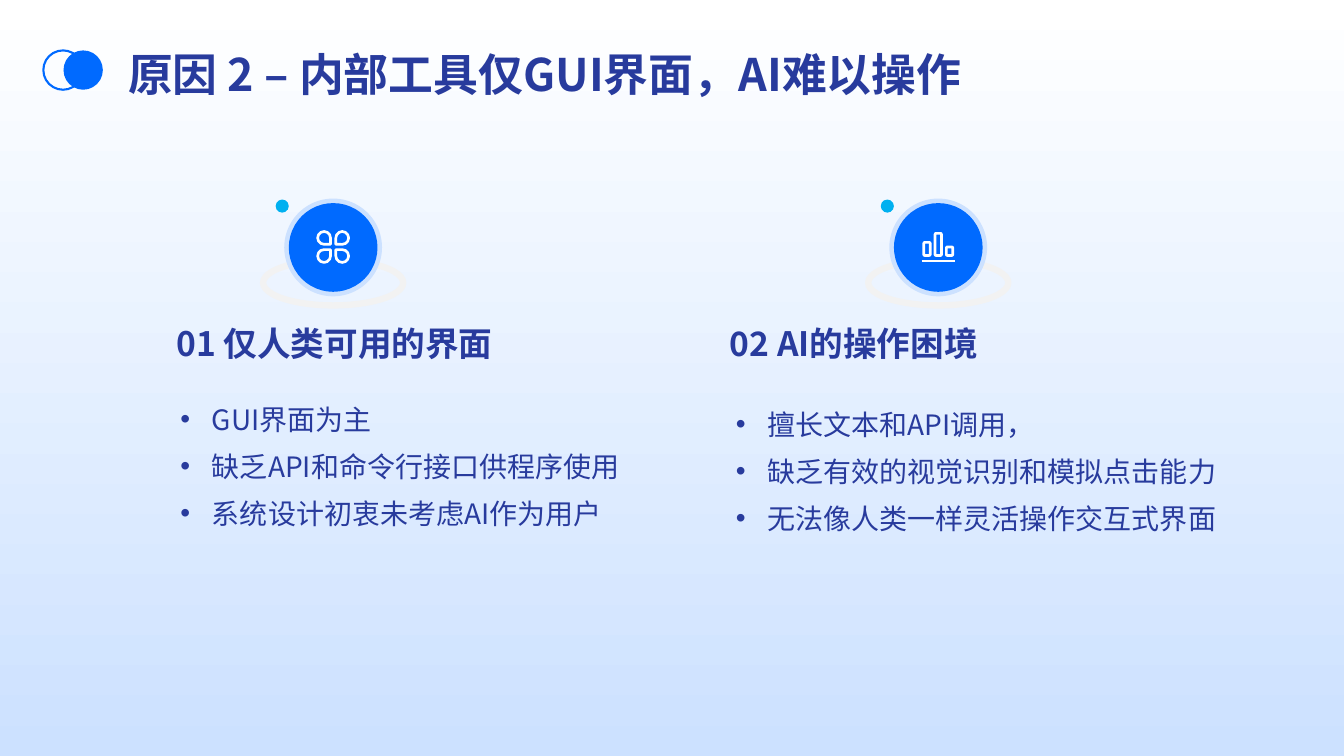
"""Build the slide on why AI struggles with GUI-only internal tools."""
from dataclasses import dataclass
from typing import Callable, Optional

from lxml import etree
from pptx import Presentation
from pptx.dml.color import RGBColor
from pptx.enum.shapes import MSO_CONNECTOR, MSO_SHAPE
from pptx.enum.text import MSO_ANCHOR
from pptx.oxml.ns import qn
from pptx.util import Inches, Pt

ELLIPSE, RECTANGLE = MSO_SHAPE.OVAL, MSO_SHAPE.RECTANGLE
TEARDROP, ROUNDED = MSO_SHAPE.TEAR, MSO_SHAPE.ROUNDED_RECTANGLE
STRAIGHT = MSO_CONNECTOR.STRAIGHT
TOP, MIDDLE = MSO_ANCHOR.TOP, MSO_ANCHOR.MIDDLE

NAVY = RGBColor(0x28, 0x3B, 0x9D)
BLUE = RGBColor(0x00, 0x6A, 0xFF)
PALE_BLUE = RGBColor(0xCC, 0xE1, 0xFF)
CYAN = RGBColor(0x00, 0xB0, 0xF0)
LIGHT_GREY = RGBColor(0xF2, 0xF2, 0xF2)
WHITE = RGBColor(0xFF, 0xFF, 0xFF)

FONT = "Noto Sans CJK SC"
CELL = Inches(0.1)
COLUMNS, ROWS = 133.33, 75
ICON_STROKE = 1.9
BULLET_INDENT = 3.13


@dataclass(frozen=True)
class Box:
    """A frame measured in columns and rows of the slide grid."""
    column: float
    row: float
    width: float
    height: float


@dataclass(frozen=True)
class TextStyle:
    """The look of a block of text."""
    size: int
    spacing: float
    bold: bool = True
    bulleted: bool = False
    anchor: MSO_ANCHOR = MIDDLE


@dataclass(frozen=True)
class Reason:
    """One half of the slide: badge, heading and bullets."""
    center: float
    draw_icon: Callable
    heading: str
    heading_box: Box
    bullets: tuple[str, ...]
    bullets_box: Box


TITLE_STYLE = TextStyle(32, 1.2)
HEADING_STYLE = TextStyle(24, 1.1)
BULLET_STYLE = TextStyle(20, 1.4, bold=False, bulleted=True, anchor=TOP)


def cells(*counts: float) -> list[int]:
    """Turn grid counts into slide lengths."""
    return [round(count * CELL) for count in counts]


def add_figure(slide, kind: MSO_SHAPE, box: Box, fill: Optional[RGBColor] = None,
               line: Optional[RGBColor] = None, line_width: float = 1):
    """Add a preset shape with an optional fill and outline."""
    shape = slide.shapes.add_shape(
        kind, *cells(box.column, box.row, box.width, box.height))
    shape.shadow.inherit = False
    if fill is None:
        shape.fill.background()
    else:
        shape.fill.solid()
        shape.fill.fore_color.rgb = fill
    if line is None:
        shape.line.fill.background()
    else:
        shape.line.color.rgb = line
        shape.line.width = Pt(line_width)
    return shape


def add_circle(slide, center: float, middle: float, diameter: float,
               fill: Optional[RGBColor] = None, line: Optional[RGBColor] = None,
               line_width: float = 1) -> None:
    """Add a circle around a centre point."""
    box = Box(center - diameter / 2, middle - diameter / 2, diameter, diameter)
    add_figure(slide, ELLIPSE, box, fill, line, line_width)


def add_bullet(paragraph) -> None:
    """Give a paragraph a hanging bullet."""
    properties = paragraph._p.get_or_add_pPr()
    indent = cells(BULLET_INDENT)[0]
    properties.set("marL", str(indent))
    properties.set("indent", str(-indent))
    etree.SubElement(properties, qn("a:buFont")).set("typeface", "Arial")
    etree.SubElement(properties, qn("a:buChar")).set("char", "•")


def add_text(slide, box: Box, lines: tuple[str, ...], style: TextStyle) -> None:
    """Add a text box with one paragraph per line."""
    shape = slide.shapes.add_textbox(
        *cells(box.column, box.row, box.width, box.height))
    frame = shape.text_frame
    frame.word_wrap = True
    frame.vertical_anchor = style.anchor
    frame.margin_left = frame.margin_right = 0
    frame.margin_top = frame.margin_bottom = 0
    for index, line in enumerate(lines):
        paragraph = frame.add_paragraph() if index else frame.paragraphs[0]
        if style.bulleted:
            add_bullet(paragraph)
        paragraph.line_spacing = style.spacing
        run = paragraph.add_run()
        run.text = line
        run.font.size = Pt(style.size)
        run.font.bold = style.bold
        run.font.color.rgb = NAVY
        run.font.name = FONT
        east_asian = etree.SubElement(run._r.get_or_add_rPr(), qn("a:ea"))
        east_asian.set("typeface", FONT)


def draw_petals(slide, center: float) -> None:
    """Draw four petals whose tips meet at the middle."""
    size, offset, middle = 1.27, 0.9, 24.5
    for across, down, rotation in ((-1, -1, 90), (1, -1, 180), (-1, 1, 0), (1, 1, 270)):
        box = Box(center + across * offset - size / 2,
                  middle + down * offset - size / 2, size, size)
        petal = add_figure(slide, TEARDROP, box, line=WHITE, line_width=ICON_STROKE)
        petal.rotation = rotation


def draw_bars(slide, center: float) -> None:
    """Draw three bars above a base line."""
    pitch, width, bottom, base, half_base = 1.12, 0.64, 25.35, 25.9, 1.65
    for position, height in zip((-1, 0, 1), (1.3, 2.2, 0.85)):
        box = Box(center + position * pitch - width / 2, bottom - height, width, height)
        add_figure(slide, ROUNDED, box, line=WHITE, line_width=ICON_STROKE)
    connector = slide.shapes.add_connector(
        STRAIGHT, *cells(center - half_base, base, center + half_base, base))
    connector.line.color.rgb = WHITE
    connector.line.width = Pt(ICON_STROKE)
    etree.SubElement(connector._element.spPr, qn("a:effectLst"))


def draw_reason(slide, reason: Reason) -> None:
    """Draw the badge, heading and bullets of one reason."""
    center = reason.center
    add_figure(slide, ELLIPSE, Box(center - 6.95, 25.8, 13.9, 4.5),
               line=LIGHT_GREY, line_width=4.5)
    add_circle(slide, center, 24.55, 9.7, PALE_BLUE)
    add_circle(slide, center, 24.55, 8.8, BLUE)
    reason.draw_icon(slide, center)
    add_circle(slide, center - 5.05, 20.45, 1.3, CYAN)
    add_text(slide, reason.heading_box, (reason.heading,), HEADING_STYLE)
    add_text(slide, reason.bullets_box, reason.bullets, BULLET_STYLE)


REASONS = (
    Reason(33.05, draw_petals, "01 仅人类可用的界面", Box(17.5, 31.1, 34.3, 5.4),
           ("GUI界面为主", "缺乏API和命令行接口供程序使用", "系统设计初衷未考虑AI作为用户"),
           Box(17.9, 38.6, 45.6, 18.2)),
    Reason(93.08, draw_bars, "02 AI的操作困境", Box(72.4, 31.1, 48.5, 5.4),
           ("擅长文本和API调用，", "缺乏有效的视觉识别和模拟点击能力", "无法像人类一样灵活操作交互式界面"),
           Box(73, 39.1, 47.7, 16.7)),
)


def main() -> None:
    """Build and save the presentation."""
    presentation = Presentation()
    presentation.slide_width, presentation.slide_height = cells(COLUMNS, ROWS)
    slide = presentation.slides.add_slide(presentation.slide_layouts[6])
    backdrop = add_figure(slide, RECTANGLE, Box(0, 0, COLUMNS, ROWS))
    backdrop.fill.gradient()
    backdrop.fill.gradient_angle = 270
    for stop, color in zip(backdrop.fill.gradient_stops, (WHITE, PALE_BLUE)):
        stop.color.rgb = color
    for reason in REASONS:
        draw_reason(slide, reason)
    add_text(slide, Box(12.7, 4.4, 109.2, 4.7),
             ("原因 2 – 内部工具仅GUI界面，AI难以操作",), TITLE_STYLE)
    add_circle(slide, 6.25, 6.95, 3.9, line=BLUE, line_width=1.5)
    add_circle(slide, 8.25, 6.95, 3.9, BLUE)
    presentation.save("out.pptx")


if __name__ == "__main__":
    main()
